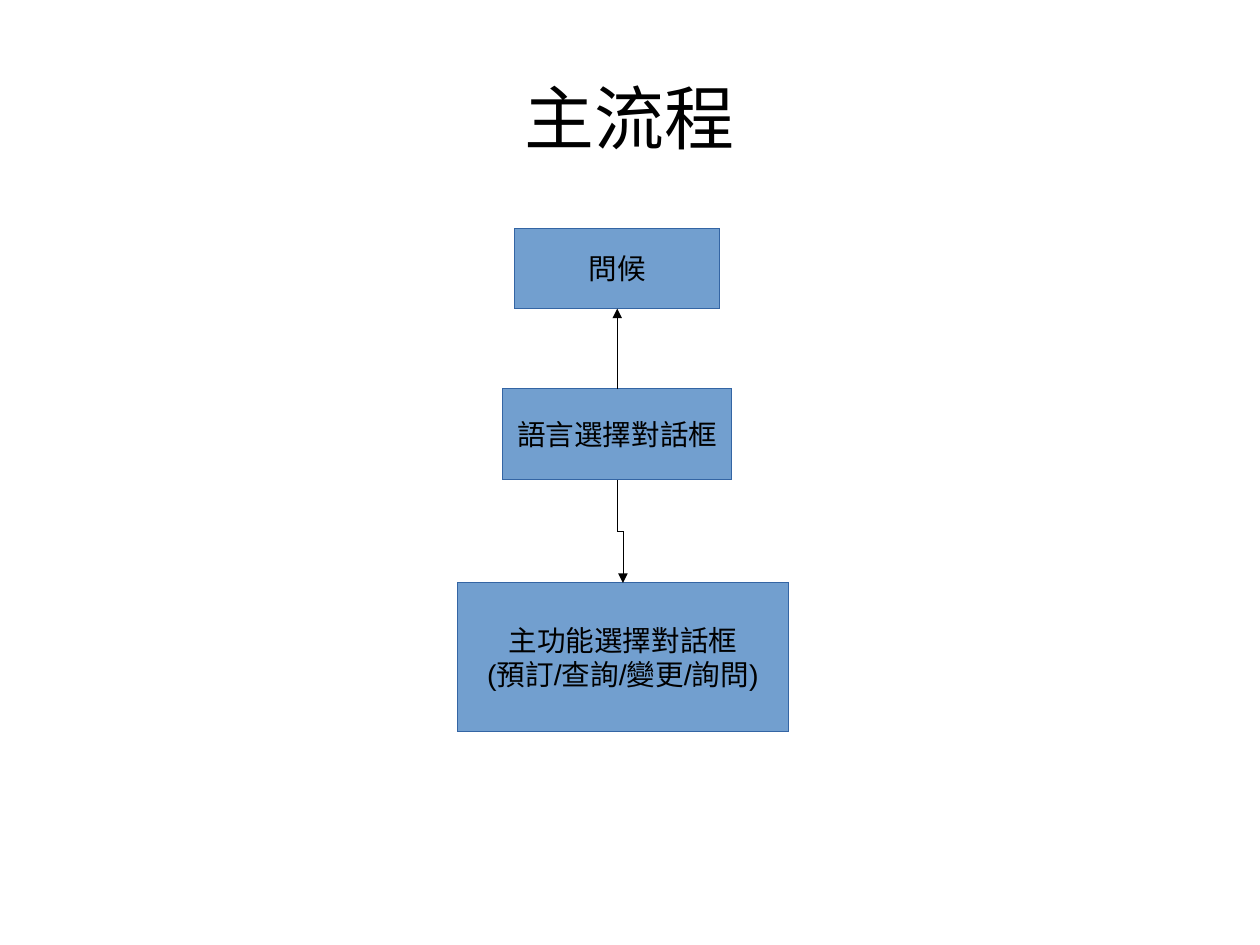
from itertools import pairwise

from lxml.etree import SubElement
from pptx import Presentation
from pptx.dml.color import RGBColor
from pptx.enum.shapes import MSO_CONNECTOR, MSO_SHAPE
from pptx.enum.text import MSO_ANCHOR, MSO_AUTO_SIZE, PP_ALIGN
from pptx.oxml.ns import qn
from pptx.util import Pt

BLACK = RGBColor(0x00, 0x00, 0x00)
BOX_FILL = RGBColor(0x72, 0x9F, 0xCF)
BOX_LINE = RGBColor(0x34, 0x65, 0xA4)
FONT = "Arial"
HAIRLINE = Pt(0.01)
TITLE_ONLY = 5

# centre, top, width, height in points, then the lines of text
STEPS = [
    (388.8, 144, 129.6, 50.4, ["問候"]),
    (388.8, 244.8, 144, 57.6, ["語言選擇對話框"]),
    (392.4, 367.2, 208.8, 93.6, ["主功能選擇對話框", "(預訂/查詢/變更/詢問)"]),
]


def write_lines(text_frame, lines, size):
    text_frame.vertical_anchor = MSO_ANCHOR.MIDDLE
    for index, line in enumerate(lines):
        paragraph = text_frame.add_paragraph() if index else text_frame.paragraphs[0]
        paragraph.alignment = PP_ALIGN.CENTER
        run = paragraph.add_run()
        run.text = line
        run.font.name = FONT
        run.font.size = Pt(size)
        run.font.color.rgb = BLACK


def set_title(slide, text):
    title = slide.shapes.title
    title.left, title.top = Pt(39.6), Pt(23.76)
    title.width, title.height = Pt(714.24), Pt(99.36)
    text_frame = title.text_frame
    text_frame.auto_size = MSO_AUTO_SIZE.NONE
    text_frame.margin_left = text_frame.margin_right = Pt(0)
    text_frame.margin_top = text_frame.margin_bottom = Pt(0)
    write_lines(text_frame, [text], 44)


def add_step(slide, centre, top, width, height, lines):
    left = Pt(centre) - Pt(width) // 2
    box = slide.shapes.add_shape(
        MSO_SHAPE.RECTANGLE, left, Pt(top), Pt(width), Pt(height))
    box.shadow.inherit = False
    box.fill.solid()
    box.fill.fore_color.rgb = BOX_FILL
    box.line.color.rgb = BOX_LINE
    box.line.width = HAIRLINE
    box.text_frame.word_wrap = False
    write_lines(box.text_frame, lines, 18)
    return box


def add_arrow(slide, source, target):
    """Join bottom to top with an elbow turned 90 degrees, so it leaves downwards."""
    arrow = slide.shapes.add_connector(MSO_CONNECTOR.ELBOW, 0, 0, 0, 0)
    arrow.begin_connect(source, 2)
    arrow.end_connect(target, 0)
    across, down = arrow.width, arrow.height
    arrow.left += (across - down) // 2
    arrow.top += (down - across) // 2
    arrow.width, arrow.height = down, across
    arrow.rotation = 90
    properties = arrow.element.spPr
    transform = properties.find(qn("a:xfrm"))
    transform.set("rot", str(90 * 60000))
    if across:
        transform.set("flipV", "1")
    arrow.line.color.rgb = BLACK
    arrow.line.width = HAIRLINE
    SubElement(properties.find(qn("a:ln")), qn("a:tailEnd"), type="triangle")
    SubElement(properties, qn("a:effectLst"))


def main():
    presentation = Presentation()
    presentation.slide_width, presentation.slide_height = Pt(793.7), Pt(595.28)
    slide = presentation.slides.add_slide(presentation.slide_layouts[TITLE_ONLY])
    set_title(slide, "主流程")
    boxes = [add_step(slide, *step) for step in STEPS]
    for source, target in pairwise(boxes):
        add_arrow(slide, source, target)
    presentation.save("out.pptx")


if __name__ == "__main__":
    main()
